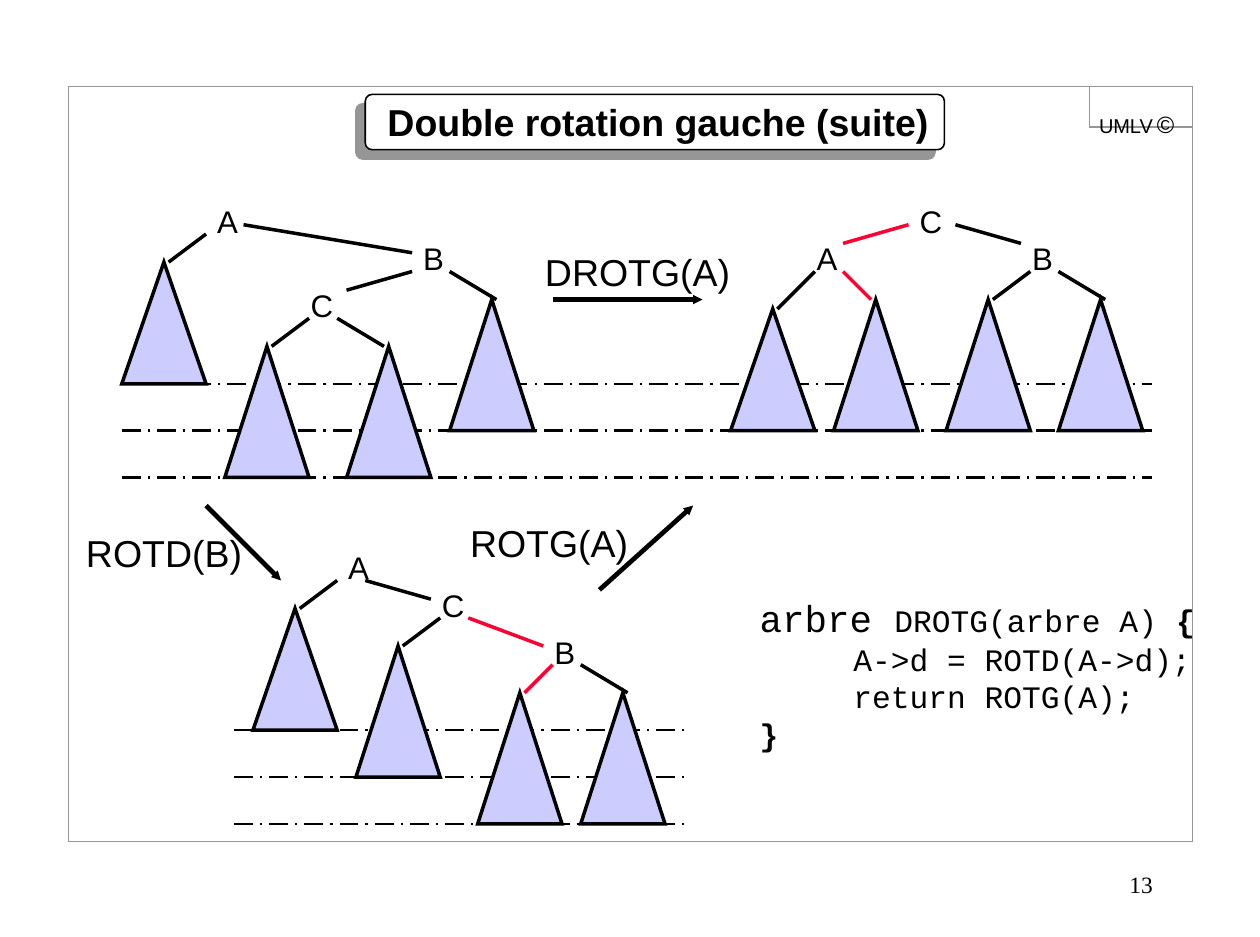
from dataclasses import dataclass

from lxml.etree import SubElement
from pptx import Presentation
from pptx.dml.color import RGBColor
from pptx.enum.dml import MSO_LINE
from pptx.enum.shapes import MSO_CONNECTOR, MSO_SHAPE
from pptx.enum.text import MSO_ANCHOR, MSO_AUTO_SIZE, PP_ALIGN
from pptx.oxml.ns import qn
from pptx.util import Pt


@dataclass(frozen=True)
class Theme:
    black: RGBColor = RGBColor(0, 0, 0)
    white: RGBColor = RGBColor(255, 255, 255)
    gray: RGBColor = RGBColor(0x96, 0x96, 0x96)
    lavender: RGBColor = RGBColor(0xCC, 0xCC, 0xFF)
    red: RGBColor = RGBColor(0xFF, 0x00, 0x33)
    sans: str = "Arial"
    serif: str = "Times New Roman"
    mono: str = "Courier New"
    large: int = 24
    medium: int = 20
    number: int = 15


THEME = Theme()
LEAF_WIDTH = 54
LEVELS = (120, 150, 180)  # depths below the top of a tree


def set_font(font, size, name=THEME.sans, bold=False):
    font.size = Pt(size)
    font.name = name
    font.bold = bold
    font.color.rgb = THEME.black


def format_frame(frame):
    frame.word_wrap = False
    frame.auto_size = MSO_AUTO_SIZE.NONE
    frame.vertical_anchor = MSO_ANCHOR.TOP
    frame.margin_left = frame.margin_right = Pt(7.2)
    frame.margin_top = frame.margin_bottom = Pt(3.6)


def add_text(slide, box, text="", size=THEME.medium, name=THEME.sans):
    frame = slide.shapes.add_textbox(*map(Pt, box)).text_frame
    format_frame(frame)
    paragraph = frame.paragraphs[0]
    paragraph.text = text
    set_font(paragraph.font, size, name)
    return frame


def add_outline(slide, kind, box, fill=None, color=THEME.black, width=1):
    shape = slide.shapes.add_shape(kind, *map(Pt, box))
    shape.shadow.inherit = False
    if fill is None:
        shape.fill.background()
    else:
        shape.fill.solid()
        shape.fill.fore_color.rgb = fill
    shape.line.color.rgb = color
    shape.line.width = Pt(width)
    SubElement(shape.line._get_or_add_ln(), qn("a:miter"), lim="800000")
    return shape


def add_line(slide, start, end, width=2.25, color=THEME.black, dash=None, arrow=False):
    connector = slide.shapes.add_connector(
        MSO_CONNECTOR.STRAIGHT, *map(Pt, (*start, *end)))
    connector.line.color.rgb = color
    connector.line.width = Pt(width)
    if dash:
        connector.line.dash_style = dash
    if arrow:
        SubElement(connector.line._get_or_add_ln(), qn("a:tailEnd"),
                   type="triangle", w="sm", len="sm")
    SubElement(connector._element.spPr, qn("a:effectLst"))


def add_page_frame(slide, box, number):
    left, top, width, height = box
    add_outline(slide, MSO_SHAPE.RECTANGLE, (left + width - 66, top, 66, 26), color=THEME.gray)
    add_outline(slide, MSO_SHAPE.RECTANGLE, box, color=THEME.gray)

    frame = add_text(slide, (left + width - 68, top - 1, 65, 39))
    frame.margin_left = Pt(8)
    for text, size, name in (("UMLV", 22, THEME.sans), (" ", 18, THEME.serif),
                             ("©", 26, THEME.sans)):
        run = frame.paragraphs[0].add_run()
        run.text = text
        set_font(run.font, size, name)
        run._r.get_or_add_rPr().set("baseline", "-6000")

    frame = add_text(slide, (left + width - 186, top + height + 7, 168.5, 40),
                     number, THEME.number, THEME.serif)
    frame.word_wrap = True
    frame.margin_right = Pt(8)
    frame.vertical_anchor = MSO_ANCHOR.MIDDLE
    frame.paragraphs[0].alignment = PP_ALIGN.RIGHT


def add_title(slide, box, text):
    left, top, width, height = box
    card = add_outline(slide, MSO_SHAPE.ROUNDED_RECTANGLE, box, THEME.white)
    card.adjustments[0] = 0.125
    effects = card._element.spPr.find(qn("a:effectLst"))
    shadow = SubElement(effects, qn("a:outerShdw"), dist=str(Pt(8.5)),
                        dir=str(135 * 60000), algn="ctr", rotWithShape="0")
    SubElement(shadow, qn("a:srgbClr"), val=str(THEME.gray))

    title = slide.shapes.title
    title.left, title.top, title.width, title.height = map(
        Pt, (left + 7, top - 0.5, width - 9, height + 1))
    slide.shapes._spTree.append(title._element)  # in front of the card
    format_frame(title.text_frame)
    paragraph = title.text_frame.paragraphs[0]
    paragraph.text = text
    paragraph.alignment = PP_ALIGN.LEFT
    set_font(paragraph.font, THEME.large, bold=True)


def add_levels(slide, left, top, width):
    for level in LEVELS:
        add_line(slide, (left, top + level), (left + width, top + level),
                 1.5, dash=MSO_LINE.LONG_DASH_DOT)


def add_tree(slide, left, top, nodes, leaves, branches, red_branches=()):
    """Place nodes (x, y), leaves (x, top, level) and branches (x1, y1, x2, y2) from a corner."""
    for color, group in ((THEME.black, branches), (THEME.red, red_branches)):
        for x1, y1, x2, y2 in group:
            add_line(slide, (left + x1, top + y1), (left + x2, top + y2), color=color)
    for x, y, level in leaves:
        box = (left + x, top + y, LEAF_WIDTH, LEVELS[level] - y)
        add_outline(slide, MSO_SHAPE.ISOSCELES_TRIANGLE, box, THEME.lavender, width=2.25)
    for name, (x, y) in nodes.items():
        add_text(slide, (left + x, top + y, 28.4, 31), name)


def add_step(slide, text, label_at, start, end):
    add_line(slide, start, end, 3, arrow=True)
    add_text(slide, (*label_at, 16.5 * len(text), 36), text, THEME.large)


def add_code(slide, box):
    large, medium = THEME.large, THEME.medium
    lines = (
        (0, (("arbre ", large, False), ("DROTG(arbre A) ", medium, False), ("{", medium, True))),
        (60, (("A->d = ROTD(A->d);", medium, False),)),
        (60, (("return ROTG(A);", medium, False),)),
        (0, (("}", medium, True),)),
    )
    frame = add_text(slide, box)
    for index, (indent, pieces) in enumerate(lines):
        paragraph = frame.add_paragraph() if index else frame.paragraphs[0]
        paragraph._p.get_or_add_pPr().set("marL", str(Pt(indent)))
        for text, size, bold in pieces:
            run = paragraph.add_run()
            run.text = text
            set_font(run.font, size, THEME.mono, bold)


def main():
    presentation = Presentation()
    presentation.slide_width, presentation.slide_height = Pt(807.12), Pt(600.48)
    slide = presentation.slides.add_slide(presentation.slide_layouts[5])

    add_page_frame(slide, (44, 55.5, 720, 484), "13")
    add_title(slide, (234, 60.5, 371, 35.5), "Double rotation gauche (suite)")

    add_levels(slide, 78, 126, 660)
    add_levels(slide, 150, 348, 288)
    add_tree(slide, 78, 126,
             {"A": (54, 0), "C": (114, 54), "B": (186, 24)},
             ((0, 42, 0), (66, 96, 2), (144, 96, 2), (210, 66, 1)),
             ((54, 24, 30, 42), (78, 18, 186, 36), (120, 78, 96, 96),
              (138, 78, 168, 96), (186, 48, 144, 60), (210, 48, 240, 66)))
    add_tree(slide, 468, 126,
             {"A": (48, 24), "C": (114, 0), "B": (186, 24)},
             ((0, 72, 1), (66, 66, 1), (138, 66, 1), (210, 66, 1)),
             ((54, 48, 30, 72), (144, 18, 186, 30), (192, 48, 168, 66), (210, 48, 240, 66)),
             ((72, 48, 90, 66), (114, 18, 72, 30)))
    add_tree(slide, 162, 348,
             {"A": (54, 0), "C": (114, 24), "B": (186, 54)},
             ((0, 42, 0), (66, 66, 1), (144, 96, 2), (210, 96, 2)),
             ((54, 24, 30, 42), (120, 48, 96, 66), (114, 36, 72, 24), (210, 78, 240, 96)),
             ((138, 48, 186, 66), (192, 78, 174, 96)))

    add_step(slide, "DROTG(A)", (342, 156), (354, 192), (450, 192))
    add_step(slide, "ROTD(B)", (48, 336), (132, 324), (180, 372))
    add_step(slide, "ROTG(A)", (294, 330), (384, 378), (444, 324))
    add_code(slide, (479.5, 378, 293, 108))
    presentation.save("out.pptx")


if __name__ == "__main__":
    main()
